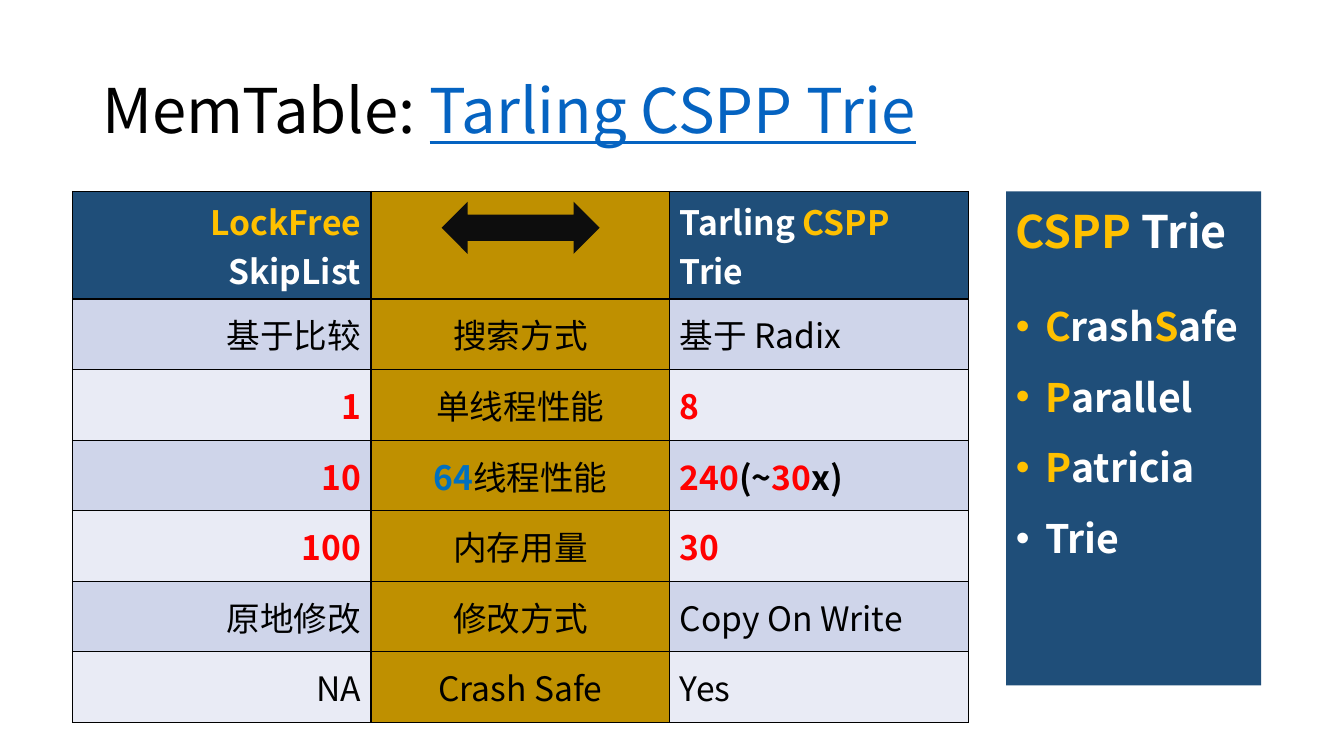
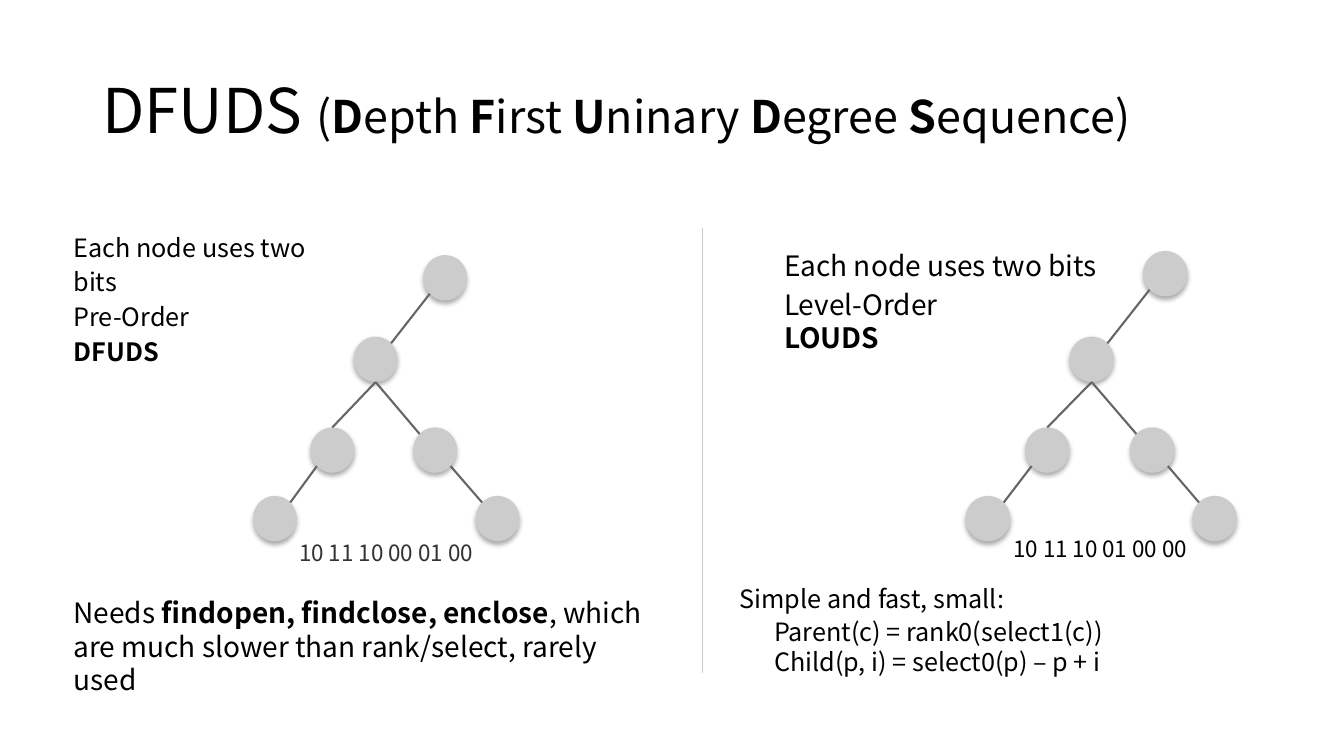
import math

import pptx
import pptx.dml.color
import pptx.enum.shapes
import pptx.enum.text
import pptx.oxml
import pptx.oxml.ns
import pptx.util
from lxml import etree

Pt = pptx.util.Pt
RGBColor = pptx.dml.color.RGBColor
SHAPE = pptx.enum.shapes.MSO_SHAPE
ALIGN = pptx.enum.text.PP_ALIGN
ANCHOR = pptx.enum.text.MSO_ANCHOR
qn = pptx.oxml.ns.qn

# Shared style
FONT = "Noto Sans CJK SC"
BLACK = RGBColor(0x00, 0x00, 0x00)
WHITE = RGBColor(0xFF, 0xFF, 0xFF)
NAVY = RGBColor(0x1F, 0x4E, 0x79)
OCHRE = RGBColor(0xBF, 0x90, 0x00)
GOLD = RGBColor(0xFF, 0xC0, 0x00)
RED = RGBColor(0xFF, 0x00, 0x00)
BLUE = RGBColor(0x00, 0x70, 0xC0)
LINK = RGBColor(0x05, 0x63, 0xC1)
BAND_DARK = RGBColor(0xCF, 0xD5, 0xEA)
BAND_LIGHT = RGBColor(0xE9, 0xEB, 0xF5)
ARROW = RGBColor(0x0D, 0x0D, 0x0D)
CODE_GREY = RGBColor(0x33, 0x33, 0x33)
EDGE_GREY = RGBColor(0x66, 0x66, 0x66)
NODE_GREY = RGBColor(0xCC, 0xCC, 0xCC)

# Run styles
BOLD = {"bold": True}
GOLD_RUN = {"color": GOLD}
WHITE_BOLD = {"color": WHITE, "bold": True}
GOLD_BOLD = {"color": GOLD, "bold": True}
RED_BOLD = {"color": RED, "bold": True}
SMALL = {"size": 32}
SMALL_BOLD = {"size": 32, "bold": True}

# Content: a paragraph is a list of runs, each a string or (string, style)
MEMTABLE_TITLE = ["MemTable: ", ("Tarling CSPP Trie", {"color": LINK, "underline": True})]
COMPARISON = [
    ([("LockFree", GOLD_BOLD), (" SkipList", WHITE_BOLD)], [],
     [("Tarling ", WHITE_BOLD), ("CSPP", GOLD_BOLD), (" Trie", WHITE_BOLD)]),
    (["基于比较"], ["搜索方式"], ["基于 Radix"]),
    ([("1", RED_BOLD)], ["单线程性能"], [("8", RED_BOLD)]),
    ([("10", RED_BOLD)], [("64", {"color": BLUE, "bold": True}), "线程性能"],
     [("240", RED_BOLD), ("(~", BOLD), ("30", RED_BOLD), ("x)", BOLD)]),
    ([("100", RED_BOLD)], ["内存用量"], [("30", RED_BOLD)]),
    (["原地修改"], ["修改方式"], ["Copy On Write"]),
    (["NA"], ["Crash Safe"], ["Yes"]),
]
COLUMN_ALIGN = (ALIGN.RIGHT, ALIGN.CENTER, ALIGN.LEFT)
HEADER_HEIGHT, ROW_HEIGHT = 76.8, 50.4
ACRONYM = [
    [("CSPP", {"color": GOLD, "size": 32}), (" Trie", SMALL)],
    [("C", GOLD_RUN), "rash", ("S", GOLD_RUN), "afe"],
    [("P", GOLD_RUN), "arallel"],
    [("P", GOLD_RUN), "atricia"],
    ["Trie"],
]

DFUDS_TITLE = ["DFUDS ", ("(", SMALL)]
for initial, rest in (("D", "epth "), ("F", "irst "), ("U", "ninary "),
                      ("D", "egree "), ("S", "equence)")):
    DFUDS_TITLE += [(initial, SMALL_BOLD), (rest, SMALL)]

# Text boxes: place, vertical inset, anchor, size, colour, alignment,
# then paragraphs with their line spacing
DFUDS_TEXTS = [
    ((33.1, 171.4, 238.3, 81.4), 19.4, ANCHOR.MIDDLE, 18, BLACK, ALIGN.LEFT,
     [(["Each node uses two bits"], 1.15), (["Pre-Order"], 1.15), ([("DFUDS", BOLD)], 1.15)]),
    ((180, 369.4, 191.5, 51.1), 19.4, ANCHOR.MIDDLE, 16, CODE_GREY, ALIGN.CENTER,
     [(["10 11 10 00 01 00"], 1.0)]),
    ((540.7, 175, 266.4, 77), 19.4, ANCHOR.MIDDLE, 20, BLACK, ALIGN.LEFT,
     [(["Each node uses two bits"], 1.15), (["Level-Order"], 1.15), ([("LOUDS", BOLD)], 1.0)]),
    ((699.8, 366.5, 172.1, 51.1), 19.4, ANCHOR.MIDDLE, 16, BLACK, ALIGN.CENTER,
     [(["10 11 10 01 00 00"], 1.0)]),
    ((533.5, 430.6, 344.9, 61.9), 9.4, ANCHOR.MIDDLE, 18, BLACK, ALIGN.LEFT,
     [(["Parent(c) = rank0(select1(c))"], 1.0), (["Child(p, i) = select0(p) – p + i"], 1.0)]),
    ((33.1, 430.6, 450.7, 61.9), 9.4, ANCHOR.MIDDLE, 20, BLACK, ALIGN.LEFT,
     [(["Needs ", ("findopen, findclose, enclose", BOLD),
        ", which are much slower than rank/select, rarely used"], 1.0)]),
    ((509, 407.5, 237.6, 41.8), 9.4, ANCHOR.TOP, 18, BLACK, ALIGN.LEFT,
     [(["Simple and fast, small:"], 1.0)]),
]

# Trees: node left edges; the top edges are shared except for the root
NODE_TOPS = {"parent": 240.5, "left": 305.3, "right": 305.3,
             "left leaf": 354.2, "right leaf": 354.2}
TREES = [
    {"width": 31.2, "root top": 182.2, "lefts": {
        "root": 302.4, "parent": 252.7, "left": 221.8, "right": 295.2,
        "left leaf": 180.7, "right leaf": 339.8}},
    {"width": 31.8, "root top": 179.3, "lefts": {
        "root": 816.5, "parent": 763.9, "left": 732.2, "right": 807.1,
        "left leaf": 689.8, "right leaf": 851.8}},
]
NODE_HEIGHT = 32.4
# Edges leave and reach a node at an angle, clockwise from the right
EDGES = [("root", 135, "parent", 315), ("parent", 90, "left", 270),
         ("parent", 90, "right", 225), ("left", 135, "left leaf", 315),
         ("right", 45, "right leaf", 225)]


def points(*lengths):
    return [Pt(length) for length in lengths]


def write_paragraph(paragraph, runs, size, color, align=ALIGN.LEFT, spacing=None, bold=False):
    paragraph.alignment = align
    if spacing:
        paragraph.line_spacing = spacing
    for item in runs:
        text, style = (item, {}) if isinstance(item, str) else item
        run = paragraph.add_run()
        run.text = text
        font = run.font
        font.name = FONT
        font.size = Pt(style.get("size", size))
        font.bold = style.get("bold", bold)
        font.underline = style.get("underline", False)
        font.color.rgb = style.get("color", color)
        etree.SubElement(run._r.get_or_add_rPr(), qn("a:ea"), typeface=FONT)


def next_paragraph(text_frame, index):
    return text_frame.add_paragraph() if index else text_frame.paragraphs[0]


def set_frame(text_frame, horizontal, vertical, anchor):
    text_frame.word_wrap = True
    text_frame.margin_left = text_frame.margin_right = Pt(horizontal)
    text_frame.margin_top = text_frame.margin_bottom = Pt(vertical)
    text_frame.vertical_anchor = anchor


def add_slide(presentation, title):
    slide = presentation.slides.add_slide(presentation.slide_layouts[6])
    text_frame = slide.shapes.add_textbox(*points(66.2, 28.8, 828, 104.4)).text_frame
    set_frame(text_frame, 7.2, 3.6, ANCHOR.MIDDLE)
    write_paragraph(text_frame.paragraphs[0], title, 44, BLACK, spacing=0.9)
    return slide


def add_filled(shapes, kind, place, color):
    shape = shapes.add_shape(kind, *points(*place))
    shape.fill.solid()
    shape.fill.fore_color.rgb = color
    shape.line.fill.background()
    shape.shadow.inherit = False
    return shape


def add_line(shapes, start, end, color, width):
    line = shapes.add_connector(pptx.enum.shapes.MSO_CONNECTOR.STRAIGHT, *points(*start, *end))
    line.line.color.rgb = color
    line.line.width = Pt(width)
    etree.SubElement(line._element.spPr, qn("a:effectLst"))


def add_borders(cell):
    properties = cell._tc.get_or_add_tcPr()
    for position, side in enumerate(("lnL", "lnR", "lnT", "lnB")):
        border = etree.Element(qn("a:" + side), w=str(Pt(1)))
        fill = etree.SubElement(border, qn("a:solidFill"))
        etree.SubElement(fill, qn("a:srgbClr"), val=str(BLACK))
        properties.insert(position, border)


def add_bullet(paragraph, color):
    properties = paragraph._p.get_or_add_pPr()
    properties.set("marL", str(Pt(20.9)))
    properties.set("indent", str(-Pt(20.9)))
    bullet_color = etree.SubElement(properties, qn("a:buClr"))
    etree.SubElement(bullet_color, qn("a:srgbClr"), val=str(color))
    etree.SubElement(properties, qn("a:buFont"), typeface="Arial")
    etree.SubElement(properties, qn("a:buChar"), char="•")


def add_node_shadow(shape):
    effects = shape._element.spPr.find(qn("a:effectLst"))
    shadow = etree.SubElement(effects, qn("a:outerShdw"), blurRad=str(Pt(3.5)),
                              dist=str(Pt(2.2)), dir="5400000", rotWithShape="0")
    shade = etree.SubElement(shadow, qn("a:srgbClr"), val=str(BLACK))
    etree.SubElement(shade, qn("a:alpha"), val="32000")


def add_comparison(slide):
    row_count, column_count = len(COMPARISON), len(COLUMN_ALIGN)
    height = HEADER_HEIGHT + ROW_HEIGHT * (row_count - 1)
    frame = slide.shapes.add_table(row_count, column_count, *points(51.8, 136.8, 640, height))
    table = frame.table
    for column in table.columns:
        column.width = Pt(213.3)
    for row_index, row in enumerate(COMPARISON):
        table.rows[row_index].height = Pt(ROW_HEIGHT if row_index else HEADER_HEIGHT)
        band = NAVY if row_index == 0 else (BAND_LIGHT, BAND_DARK)[row_index % 2]
        for column_index, runs in enumerate(row):
            cell = table.cell(row_index, column_index)
            cell.vertical_anchor = ANCHOR.MIDDLE
            cell.fill.solid()
            cell.fill.fore_color.rgb = OCHRE if column_index == 1 else band
            add_borders(cell)
            write_paragraph(cell.text_frame.paragraphs[0], runs, 24, BLACK,
                            COLUMN_ALIGN[column_index])


def add_acronym(slide):
    panel = add_filled(slide.shapes, SHAPE.RECTANGLE, (718.6, 136.8, 182.2, 352.8), NAVY)
    text_frame = panel.text_frame
    set_frame(text_frame, 7.2, 3.6, ANCHOR.TOP)
    text_frame.margin_right = Pt(2.9)
    for index, runs in enumerate(ACRONYM):
        paragraph = next_paragraph(text_frame, index)
        if index == 0:
            paragraph.space_after = Pt(15)
        write_paragraph(paragraph, runs, 28, WHITE, spacing=1.5 if index else 1.14, bold=True)
        if index:
            add_bullet(paragraph, WHITE if isinstance(runs[0], str) else GOLD)


def add_tree(slide, tree):
    group = slide.shapes.add_group_shape()
    width = tree["width"]
    tops = {"root": tree["root top"], **NODE_TOPS}

    def rim(name, angle):
        turn = math.radians(angle)
        return (tree["lefts"][name] + width / 2 * (1 + math.cos(turn)),
                tops[name] + NODE_HEIGHT / 2 * (1 + math.sin(turn)))

    for name, left in tree["lefts"].items():
        node = add_filled(group.shapes, SHAPE.OVAL, (left, tops[name], width, NODE_HEIGHT),
                          NODE_GREY)
        add_node_shadow(node)
    for upper, leave, lower, reach in EDGES:
        add_line(group.shapes, rim(upper, leave), rim(lower, reach), EDGE_GREY, 1.5)


def main():
    presentation = pptx.Presentation()
    presentation.slide_width, presentation.slide_height = points(960, 540)

    # Slide 1: comparison table and acronym panel
    slide = add_slide(presentation, MEMTABLE_TITLE)
    add_comparison(slide)
    add_filled(slide.shapes, SHAPE.LEFT_RIGHT_ARROW, (315.4, 144, 113, 37.4), ARROW)
    add_acronym(slide)

    # Slide 2: two trees side by side
    slide = add_slide(presentation, DFUDS_TITLE)
    add_line(slide.shapes, (501.8, 162.7), (501.8, 481), NODE_GREY, 0.75)
    for tree in TREES:
        add_tree(slide, tree)
    for place, inset, anchor, size, color, align, paragraphs in DFUDS_TEXTS:
        text_frame = slide.shapes.add_textbox(*points(*place)).text_frame
        set_frame(text_frame, 19.4, inset, anchor)
        for index, (runs, spacing) in enumerate(paragraphs):
            write_paragraph(next_paragraph(text_frame, index), runs, size, color, align, spacing)

    presentation.save("out.pptx")


if __name__ == "__main__":
    main()
